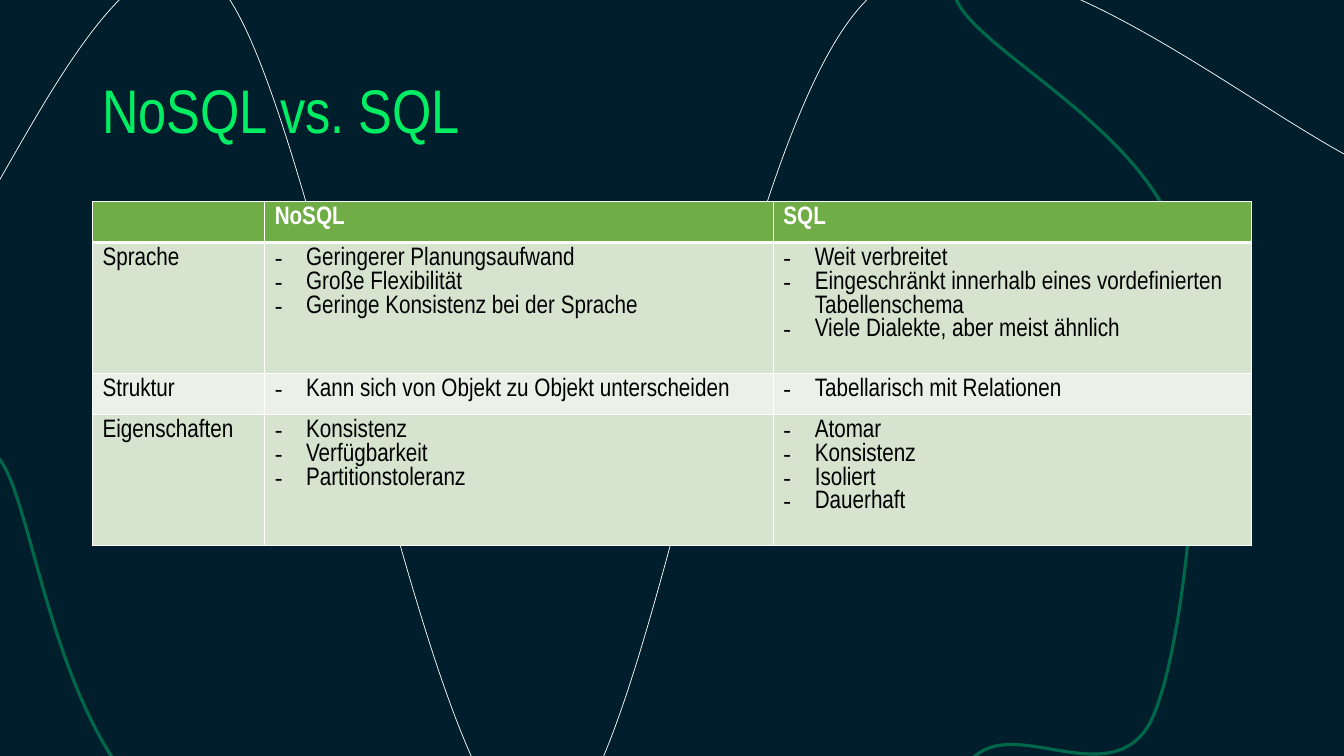
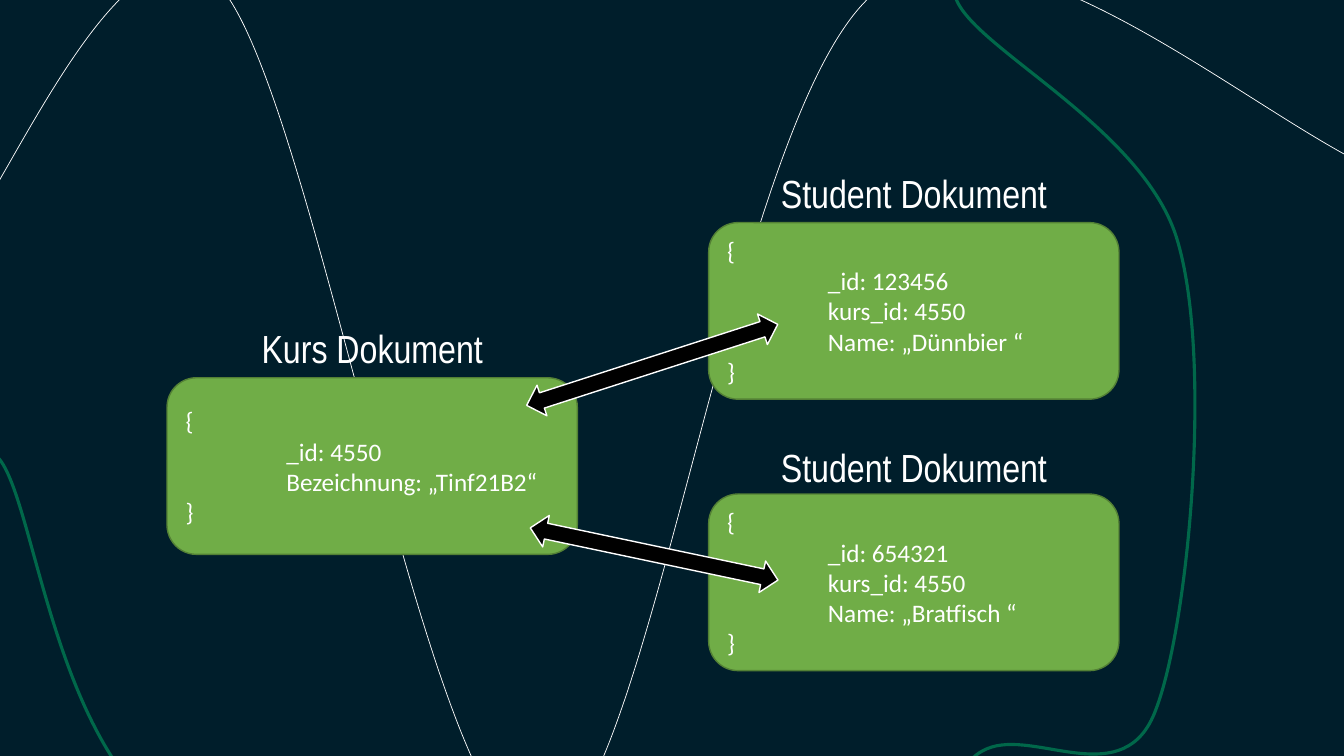
"""Build two slides that compare NoSQL with SQL and show linked documents."""
from dataclasses import dataclass
from typing import NamedTuple

from lxml import etree
from pptx import Presentation
from pptx import slide as sl
from pptx import table as tb
from pptx import util as u
from pptx.dml.color import RGBColor
from pptx.enum import shapes, text
from pptx.oxml import ns
from pptx.text import text as tx

NIGHT = RGBColor(0x00, 0x1E, 0x2B)
FOREST = RGBColor(0x00, 0x68, 0x4A)
SPRING = RGBColor(0x00, 0xED, 0x64)
LEAF = RGBColor(0x70, 0xAD, 0x47)
MOSS = RGBColor(0x53, 0x80, 0x35)
BAND_DARK = RGBColor(0xD5, 0xE3, 0xCF)
BAND_LIGHT = RGBColor(0xEB, 0xF1, 0xE9)
WHITE = RGBColor(0xFF, 0xFF, 0xFF)
BLACK = RGBColor(0x00, 0x00, 0x00)

HEADING_FONT = "Arial Narrow"
BODY_FONT = "Calibri"
MARGIN, CONTENT_WIDTH = 2.33, 29.21

Point = tuple[float, float]


class Box(NamedTuple):
    """Position and size in centimetres."""

    left: float
    top: float
    width: float
    height: float

    def lengths(self) -> list[u.Cm]:
        """Return the four values as lengths."""
        return [u.Cm(value) for value in self]


class Style(NamedTuple):
    """Look of a piece of text."""

    font: str
    size: float
    color: RGBColor
    bold: bool = False


@dataclass(frozen=True)
class Curve:
    """Decorative chain of cubic curves: a start, then three points for each arc."""

    color: RGBColor
    weight: float
    points: list[Point]


@dataclass(frozen=True)
class Document:
    """Database document with its heading and fields."""

    heading: str
    left: float
    top: float
    heading_top: float
    fields: list[str]


@dataclass(frozen=True)
class Link:
    """Double arrow between two documents."""

    box: Box
    rotation: float


TITLE = Style(HEADING_FONT, 44, SPRING)
HEADING = Style(HEADING_FONT, 28, WHITE)
TABLE_HEAD = Style(HEADING_FONT, 18, WHITE, True)
TABLE_BODY = Style(HEADING_FONT, 18, BLACK)
FIELDS = Style(BODY_FONT, 18, WHITE)

CURVES = [
    Curve(WHITE, 0.5, [
        (-0.41, 0.1),
        (-1.37, 3.28), (-2.31, 6.43), (-1.35, 6.35),
        (-0.38, 6.27), (2.97, -2.9), (5.46, -0.43),
        (7.92, 2.03), (10.8, 21.08), (13.56, 21.11),
        (16.36, 21.13), (18.42, 2.44), (22.17, -0.28),
        (25.93, -3.02), (33.66, 4.98), (36.17, 4.67),
    ]),
    Curve(FOREST, 2.25, [
        (-0.97, 14.68),
        (-1.02, 12.57), (-1.04, 10.46), (-0.05, 11.53),
        (0.94, 12.6), (1.37, 19.51), (5, 21.08),
        (8.64, 22.68), (18.47, 21.46), (21.77, 21.08),
        (25.07, 20.73), (23.62, 19.41), (24.87, 18.87),
        (26.09, 18.34), (28.35, 20.02), (29.13, 17.88),
        (29.95, 15.75), (30.56, 9.14), (29.69, 6.12),
        (28.85, 3.07), (23.98, 0.99), (24.05, -0.28),
    ]),
]

COLUMN_WIDTHS = [4.34, 12.82, 12.05]
ROW_HEIGHT, TABLE_HEIGHT = 1.03, 8.66
COMPARISON = [
    ["", ["NoSQL"], ["SQL"]],
    [
        "Sprache",
        ["Geringerer Planungsaufwand", "Große Flexibilität",
         "Geringe Konsistenz bei der Sprache"],
        ["Weit verbreitet",
         "Eingeschränkt innerhalb eines vordefinierten Tabellenschema",
         "Viele Dialekte, aber meist ähnlich"],
    ],
    [
        "Struktur",
        ["Kann sich von Objekt zu Objekt unterscheiden"],
        ["Tabellarisch mit Relationen"],
    ],
    [
        "Eigenschaften",
        ["Konsistenz", "Verfügbarkeit", "Partitionstoleranz"],
        ["Atomar", "Konsistenz", "Isoliert", "Dauerhaft"],
    ],
]

DOCUMENT_WIDTH, DOCUMENT_HEIGHT = 10.34, 4.45
HEADING_INSET = 0.7
DOCUMENTS = [
    Document("Student Dokument", 17.86, 5.61, 4.37,
             ["_id: 123456", "kurs_id: 4550", "Name: „Dünnbier “"]),
    Document("Student Dokument", 17.86, 12.45, 11.28,
             ["_id: 654321", "kurs_id: 4550", "Name: „Bratfisch “"]),
    Document("Kurs Dokument", 4.21, 9.52, 8.27,
             ["_id: 4550", "Bezeichnung: „Tinf21B2“"]),
]
LINKS = [
    Link(Box(16.03, 5.87, 0.81, 6.65), 72.1),
    Link(Box(16.08, 10.77, 0.81, 6.38), 101.9),
]


def write(frame: tx.TextFrame, lines: list[str], style: Style,
          align: text.PP_ALIGN = text.PP_ALIGN.LEFT) -> None:
    """Fill a frame with one paragraph per line."""
    frame.text = "\n".join(lines)
    for paragraph in frame.paragraphs:
        paragraph.alignment = align
        for run in paragraph.runs:
            font = run.font
            font.name, font.size, font.bold = style.font, u.Pt(style.size), style.bold
            font.color.rgb = style.color


def add_label(slide: sl.Slide, box: Box, label: str, style: Style,
              align: text.PP_ALIGN, spacing: float, before: float = 0) -> tx.TextFrame:
    """Add a one-line text box and return its frame."""
    frame = slide.shapes.add_textbox(*box.lengths()).text_frame
    frame.word_wrap = True
    write(frame, [label], style, align)
    frame.paragraphs[0].line_spacing = spacing
    frame.paragraphs[0].space_before = u.Pt(before)
    return frame


def add_title(slide: sl.Slide, title: str) -> None:
    """Add the slide title."""
    box = Box(MARGIN, 1.02, CONTENT_WIDTH, 3.68)
    frame = add_label(slide, box, title, TITLE, text.PP_ALIGN.LEFT, 0.9)
    frame.vertical_anchor = text.MSO_ANCHOR.MIDDLE


def add_curve(slide: sl.Slide, curve: Curve) -> None:
    """Draw one decorative curve, turning each three segments into a cubic arc."""
    start, *rest = [(u.Cm(x), u.Cm(y)) for x, y in curve.points]
    builder = slide.shapes.build_freeform(*start)
    builder.add_line_segments(rest, close=False)
    stroke = builder.convert_to_shape()
    segments = list(stroke._element.iter(ns.qn("a:lnTo")))
    outline = segments[0].getparent()
    for first in range(0, len(segments), 3):
        arc = etree.SubElement(outline, ns.qn("a:cubicBezTo"))
        for segment in segments[first:first + 3]:
            arc.append(segment[0])
            outline.remove(segment)
    stroke.shadow.inherit = False
    stroke.fill.background()
    stroke.line.color.rgb = curve.color
    stroke.line.width = u.Pt(curve.weight)


def add_slide(deck) -> sl.Slide:
    """Add a blank slide with the decorative curves."""
    slide = deck.slides.add_slide(deck.slide_layouts[6])
    for curve in CURVES:
        add_curve(slide, curve)
    return slide


def add_borders(cell: tb._Cell, top: float, bottom: float) -> None:
    """Give a cell white borders, with the top and bottom widths in points."""
    properties = cell._tc.get_or_add_tcPr()
    for tag, width in (("a:lnL", 1), ("a:lnR", 1), ("a:lnT", top), ("a:lnB", bottom)):
        edge = etree.SubElement(properties, ns.qn(tag), w=str(u.Pt(width)))
        fill = etree.SubElement(edge, ns.qn("a:solidFill"))
        etree.SubElement(fill, ns.qn("a:srgbClr"), val=str(WHITE))


def add_dash(paragraph: tx._Paragraph) -> None:
    """Turn a paragraph into a dash list item."""
    properties = paragraph._p.get_or_add_pPr()
    indent = u.Cm(0.79)
    properties.set("marL", str(indent))
    properties.set("indent", str(-indent))
    etree.SubElement(properties, ns.qn("a:buFont"), typeface=BODY_FONT)
    etree.SubElement(properties, ns.qn("a:buChar"), char="-")


def add_tab_stop(paragraph: tx._Paragraph) -> None:
    """Set the indent of the fields of a document."""
    stops = etree.SubElement(paragraph._p.get_or_add_pPr(), ns.qn("a:tabLst"))
    etree.SubElement(stops, ns.qn("a:tab"), pos=str(u.Cm(2.54)), algn="l")


def add_comparison(slide: sl.Slide) -> None:
    """Add the table that compares the two kinds of database."""
    box = Box(MARGIN, 5.08, CONTENT_WIDTH, TABLE_HEIGHT)
    holder = slide.shapes.add_table(len(COMPARISON), len(COLUMN_WIDTHS), *box.lengths())
    table = holder.table
    for column, width in zip(table.columns, COLUMN_WIDTHS):
        column.width = u.Cm(width)
    for index, row in enumerate(table.rows):
        row.height = u.Cm(ROW_HEIGHT)
        is_head = index == 0
        band = LEAF if is_head else BAND_DARK if index % 2 else BAND_LIGHT
        topic, *aspects = COMPARISON[index]
        for cell, lines in zip(row.cells, [[topic], *aspects]):
            add_borders(cell, 3 if index == 1 else 1, 3 if is_head else 1)
            cell.fill.solid()
            cell.fill.fore_color.rgb = band
            write(cell.text_frame, lines, TABLE_HEAD if is_head else TABLE_BODY)
            if not is_head and lines != [topic]:
                for paragraph in cell.text_frame.paragraphs:
                    add_dash(paragraph)
    holder.height = u.Cm(TABLE_HEIGHT)


def add_block(slide: sl.Slide, kind: shapes.MSO_SHAPE, box: Box,
              fill: RGBColor, line: RGBColor):
    """Add a filled shape with a thin outline."""
    block = slide.shapes.add_shape(kind, *box.lengths())
    block.shadow.inherit = False
    block.fill.solid()
    block.fill.fore_color.rgb = fill
    block.line.color.rgb = line
    block.line.width = u.Pt(1)
    return block


def add_document(slide: sl.Slide, document: Document) -> None:
    """Draw a document with its heading above it."""
    box = Box(document.left, document.top, DOCUMENT_WIDTH, DOCUMENT_HEIGHT)
    card = add_block(slide, shapes.MSO_SHAPE.ROUNDED_RECTANGLE, box, LEAF, MOSS)
    card.text_frame.vertical_anchor = text.MSO_ANCHOR.MIDDLE
    write(card.text_frame, ["{", *(f"\t{field}" for field in document.fields), "}"], FIELDS)
    for paragraph in card.text_frame.paragraphs:
        add_tab_stop(paragraph)
    heading_box = Box(document.left + HEADING_INSET, document.heading_top,
                      DOCUMENT_WIDTH - 2 * HEADING_INSET, 1.27)
    add_label(slide, heading_box, document.heading, HEADING, text.PP_ALIGN.CENTER, 0.8, 10)


def main() -> None:
    """Build and save the presentation."""
    deck = Presentation()
    deck.slide_width, deck.slide_height = u.Cm(33.87), u.Cm(19.05)
    backdrop = deck.slide_master.background.fill
    backdrop.solid()
    backdrop.fore_color.rgb = NIGHT
    comparison, relations = add_slide(deck), add_slide(deck)
    add_title(comparison, "NoSQL vs. SQL")
    add_comparison(comparison)
    for document in DOCUMENTS:
        add_document(relations, document)
    for link in LINKS:
        arrow = add_block(relations, shapes.MSO_SHAPE.UP_DOWN_ARROW, link.box, BLACK, WHITE)
        arrow.rotation = link.rotation
    deck.save("out.pptx")


if __name__ == "__main__":
    main()
